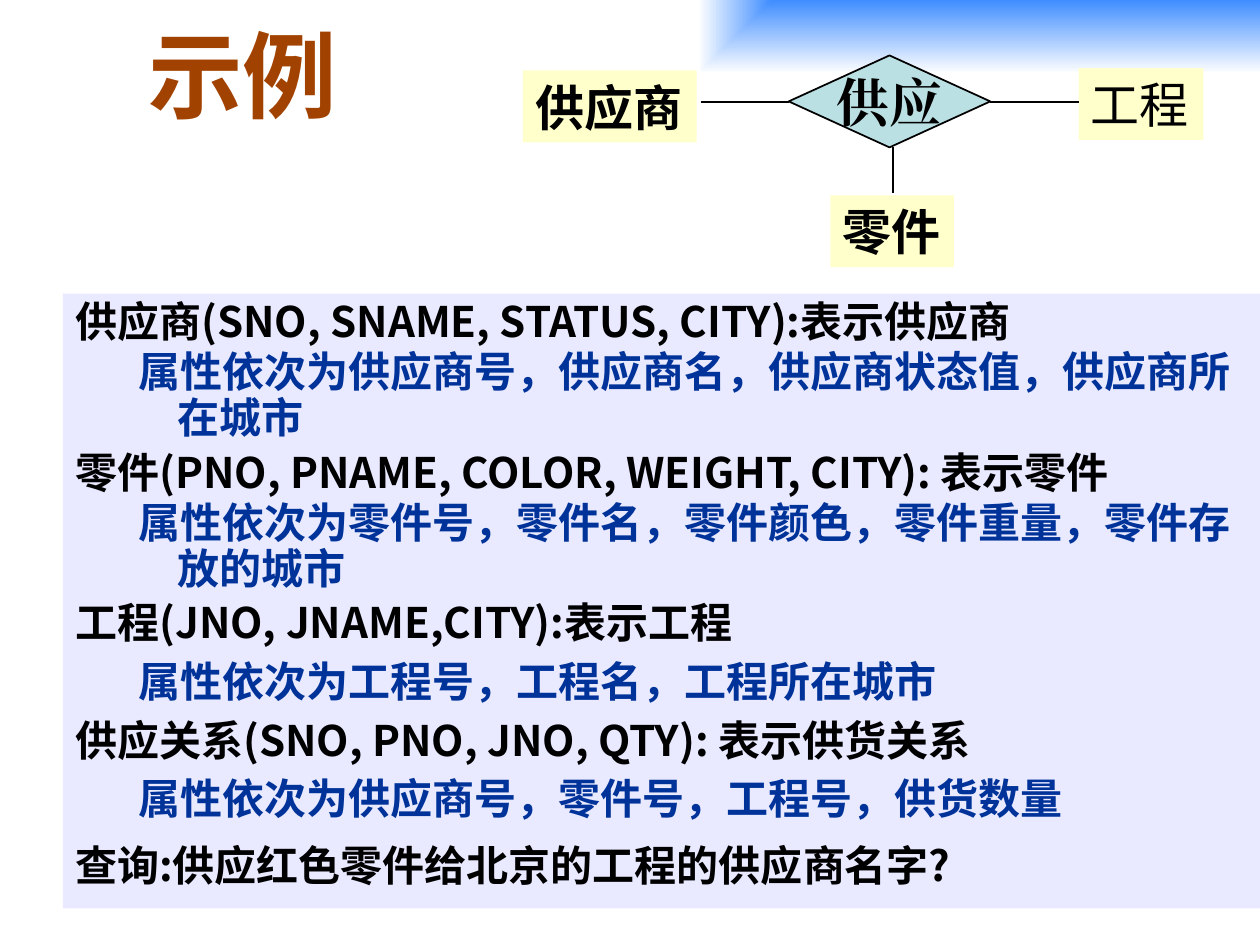
from lxml import etree
from pptx import Presentation
from pptx.dml.color import RGBColor
from pptx.enum.shapes import MSO_CONNECTOR, MSO_SHAPE
from pptx.enum.text import MSO_ANCHOR, PP_ALIGN
from pptx.oxml import parse_xml
from pptx.oxml.ns import qn
from pptx.util import Inches, Pt

BLACK = RGBColor(0x00, 0x00, 0x00)
BROWN = RGBColor(0xA2, 0x42, 0x00)
NAVY = RGBColor(0x00, 0x33, 0x99)
LAVENDER = RGBColor(0xE9, 0xE9, 0xFF)
CREAM = RGBColor(0xFF, 0xFF, 0xCC)
TEAL = RGBColor(0xBB, 0xE0, 0xE3)
SANS, TITLE_FONT, SERIF = "Noto Sans CJK JP", "Noto Sans CJK SC", "Times New Roman"

# Content: relation and its attributes, space around the attributes line
RELATIONS = [
    ("供应商(SNO, SNAME, STATUS, CITY):表示供应商",
     "属性依次为供应商号，供应商名，供应商状态值，供应商所在城市", False),
    ("零件(PNO, PNAME, COLOR, WEIGHT, CITY): 表示零件",
     "属性依次为零件号，零件名，零件颜色，零件重量，零件存放的城市", False),
    ("工程(JNO, JNAME,CITY):表示工程",
     "属性依次为工程号，工程名，工程所在城市", True),
    ("供应关系(SNO, PNO, JNO, QTY): 表示供货关系",
     "属性依次为供应商号，零件号，工程号，供货数量", True),
]
QUERY = "查询:供应红色零件给北京的工程的供应商名字?"
# Entities: text, left, top, width, height, bold
ENTITIES = [
    ("供应商", 4.15, 0.56, 1.38, 0.57, True),
    ("工程", 8.56, 0.54, 0.99, 0.57, False),
    ("零件", 6.59, 1.55, 0.98, 0.57, True),
]
LINKS = [(7.09, 1.17, 7.09, 1.53), (7.86, 0.81, 8.56, 0.81), (5.56, 0.81, 6.26, 0.81)]

GRADIENT = (
    '<a:gradFill xmlns:a="http://schemas.openxmlformats.org/drawingml/2006/main" rotWithShape="0">'
    '<a:gsLst><a:gs pos="0"><a:srgbClr val="3F8DFF"/></a:gs>'
    '<a:gs pos="100000"><a:srgbClr val="FFFFFF"/></a:gs></a:gsLst>'
    '<a:path path="rect"><a:fillToRect l="100000" b="100000"/></a:path></a:gradFill>'
)

deck = Presentation()
deck.slide_width, deck.slide_height = Inches(10), Inches(7.5)
page = deck.slides.add_slide(deck.slide_layouts[6])


def add_box(kind, left, top, width, height, fill=None, anchor=MSO_ANCHOR.MIDDLE, wrap=True):
    box = page.shapes.add_shape(kind, *map(Inches, (left, top, width, height)))
    box.shadow.inherit = False
    box.line.fill.background()
    if fill is not None:
        box.fill.solid()
        box.fill.fore_color.rgb = fill
    box.text_frame.vertical_anchor = anchor
    box.text_frame.word_wrap = wrap
    return box


def write(para, text, size, font, color, bold=True, align=PP_ALIGN.LEFT):
    para.text = text
    para.alignment = align
    for span in para.runs:
        span.font.size, span.font.bold, span.font.name = Pt(size), bold, font
        span.font.color.rgb = color
        east_asian = etree.SubElement(span.font._element, qn("a:ea"))
        east_asian.set("typeface", font)


# Title on the gradient band
title = add_box(MSO_SHAPE.RECTANGLE, 1.08, 0, 8.92, 1.17)
title._element.spPr.find(qn("a:prstGeom")).addnext(parse_xml(GRADIENT))
write(title.text_frame.paragraphs[0], "示例", 54, TITLE_FONT, BROWN)

# Relation list: (text, color, left margin, hanging indent, space before, space after)
lines = []
for relation, attributes, spaced in RELATIONS:
    lines.append((relation, BLACK, 0.38, -0.38, 4.8, 2.4))
    lines.append((attributes, NAVY, 0.81, -0.31, 4.8 * spaced, 2.4 * spaced))
lines.append((QUERY, BLACK, 0.38, -0.38, 9.6, 2.4))

body = add_box(MSO_SHAPE.RECTANGLE, 0.5, 2.33, 9.5, 4.88, LAVENDER, MSO_ANCHOR.TOP).text_frame
for index, (text, color, margin, indent, before, after) in enumerate(lines):
    para = body.add_paragraph() if index else body.paragraphs[0]
    write(para, text, 24, SANS, color)
    para.line_spacing = Pt(26.3)
    para.space_before, para.space_after = Pt(before), Pt(after)
    properties = para._p.get_or_add_pPr()
    properties.set("marL", str(Inches(margin)))
    properties.set("indent", str(Inches(indent)))

# Entities of the diagram
for text, left, top, width, height, bold in ENTITIES:
    entity = add_box(MSO_SHAPE.RECTANGLE, left, top, width, height, CREAM, wrap=False)
    write(entity.text_frame.paragraphs[0], text, 28, SANS, BLACK, bold)

# Relationship diamond
diamond = add_box(MSO_SHAPE.DIAMOND, 6.26, 0.44, 1.6, 0.73, TEAL, wrap=False)
diamond.line.color.rgb, diamond.line.width = BLACK, Pt(1)
write(diamond.text_frame.paragraphs[0], "供应", 30, SERIF, BLACK, align=PP_ALIGN.CENTER)

# Links between diamond and entities
for ends in LINKS:
    link = page.shapes.add_connector(MSO_CONNECTOR.STRAIGHT, *map(Inches, ends))
    link.line.color.rgb, link.line.width = BLACK, Pt(1)
    etree.SubElement(link._element.spPr, qn("a:effectLst"))

deck.save("out.pptx")
